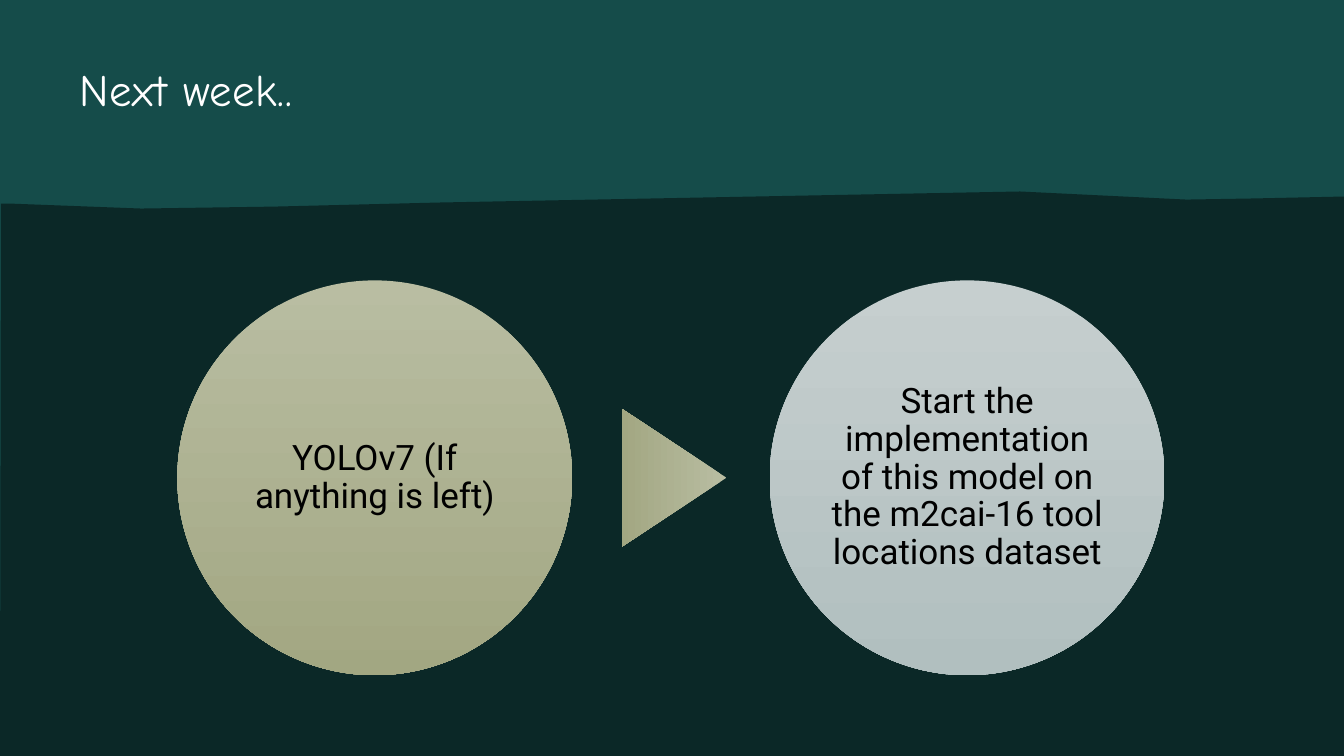
from pptx import Presentation
from pptx.dml.color import RGBColor
from pptx.enum.shapes import MSO_SHAPE as SHAPE
from pptx.enum.text import MSO_ANCHOR as ANCHOR, PP_ALIGN as ALIGN
from pptx.util import Pt

WIDTH, HEIGHT = 960, 540
TEAL = RGBColor(0x15, 0x4C, 0x4A)
DARK = RGBColor(0x0B, 0x28, 0x27)
WHITE = RGBColor(0xFF, 0xFF, 0xFF)
BLACK = RGBColor(0x00, 0x00, 0x00)
OLIVE = (RGBColor(0xB9, 0xBD, 0xA2), RGBColor(0xA2, 0xA7, 0x82))
GREY = (RGBColor(0xC6, 0xCF, 0xCF), RGBColor(0xB1, 0xBF, 0xBF))

RIDGE = [(0.7, 145.4), (5.8, 145.4), (100.8, 149), (195.8, 147.6),
         (313.9, 144.7), (728.6, 136.8), (847.4, 142.6), (895, 141.8),
         (WIDTH, 140.4)]
DIAMETER, CIRCLE_TOP = 282, 200.3
ARROW_W, ARROW_H = 98.8, 74.9
STEPS = [
    (126.7, "YOLOv7 (If anything is left)", OLIVE),
    (549.8, "Start the implementation of this model on the m2cai-16 tool "
            "locations dataset", GREY),
]


def finish(s, colors):
    """Fill a shape with one colour or a downward gradient, without outline."""
    s.shadow.inherit = False
    s.line.fill.background()
    if len(colors) == 1:
        s.fill.solid()
        s.fill.fore_color.rgb = colors[0]
        return
    s.fill.gradient()
    s.fill.gradient_angle = 270
    for stop, color in zip(s.fill.gradient_stops, colors):
        stop.color.rgb = color


def add_preset(sp, kind, x, y, w, h, *colors):
    """Add a preset shape."""
    s = sp.add_shape(kind, Pt(x), Pt(y), Pt(w), Pt(h))
    finish(s, colors)
    return s


def add_outline(sp, points, color):
    """Add a closed polygon."""
    builder = sp.build_freeform(Pt(points[0][0]), Pt(points[0][1]))
    builder.add_line_segments([(Pt(x), Pt(y)) for x, y in points[1:]])
    finish(builder.convert_to_shape(), [color])


def add_text(sp, x, y, w, h, text, font, size, color, spacing, inset=0):
    """Add a wrapped text box and return its frame, paragraph and run."""
    tf = sp.add_textbox(Pt(x), Pt(y), Pt(w), Pt(h)).text_frame
    tf.word_wrap = True
    tf.margin_left = tf.margin_right = Pt(inset)
    tf.margin_top = tf.margin_bottom = Pt(inset)
    p = tf.paragraphs[0]
    p.line_spacing = spacing
    r = p.add_run()
    r.text = text
    r.font.name, r.font.size = font, Pt(size)
    r.font.color.rgb = color
    return tf, p, r


def add_step(sp, x, text, colors):
    """Add a circle with centred text in its inscribed square."""
    add_preset(sp, SHAPE.OVAL, x, CIRCLE_TOP, DIAMETER, DIAMETER, *colors)
    side = DIAMETER / 2 ** 0.5
    gap = (DIAMETER - side) / 2
    tf, p, r = add_text(sp, x + gap, CIRCLE_TOP + gap, side, side, text,
                        "Roboto", 25, BLACK, 0.9, 2.5)
    tf.vertical_anchor = ANCHOR.MIDDLE
    p.alignment = ALIGN.CENTER


def main():
    """Build the slide and save it."""
    prs = Presentation()
    prs.slide_width, prs.slide_height = Pt(WIDTH), Pt(HEIGHT)
    slide = prs.slides.add_slide(prs.slide_layouts[6])
    slide.background.fill.solid()
    slide.background.fill.fore_color.rgb = DARK
    sp = slide.shapes

    add_preset(sp, SHAPE.RECTANGLE, 0, 0, WIDTH, HEIGHT, TEAL)
    tf, p, r = add_text(sp, 56.9, 49, 844.6, 54, "Next week..",
                        "Comic Neue", 32, WHITE, 0.88)
    r.font._element.set("spc", "40")
    add_outline(sp, RIDGE + [(WIDTH, HEIGHT), (0, HEIGHT)], DARK)

    for step in STEPS:
        add_step(sp, *step)
    arrow = add_preset(sp, SHAPE.ISOSCELES_TRIANGLE, 432, 303.8,
                       ARROW_W, ARROW_H, *OLIVE)
    arrow.rotation = 90

    prs.save("out.pptx")


if __name__ == "__main__":
    main()
